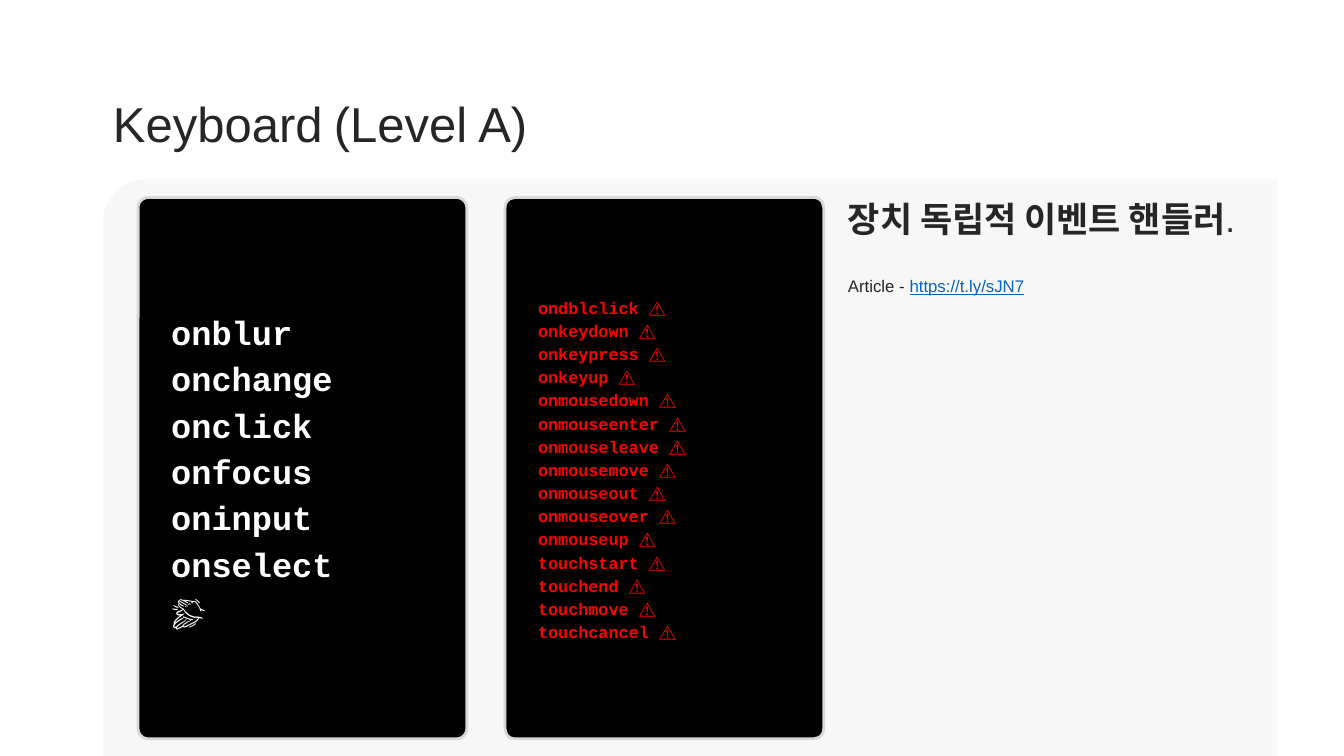
from pptx import Presentation
from pptx import util as u
from pptx.dml import color
from pptx.enum import shapes, text
from pptx.oxml import ns, xmlchemy

INK = "262626"
SAFE = ["onblur", "onchange", "onclick", "onfocus", "oninput", "onselect", "👏"]
RISKY = ["ondblclick", "onkeydown", "onkeypress", "onkeyup", "onmousedown",
         "onmouseenter", "onmouseleave", "onmousemove", "onmouseout",
         "onmouseover", "onmouseup", "touchstart", "touchend", "touchmove",
         "touchcancel"]


def rgb(code):
    """Turn a hex string into a colour."""
    return color.RGBColor.from_string(code)


def place(shape, left, top, width, height):
    """Move and size a shape in inches."""
    shape.left, shape.top = u.Inches(left), u.Inches(top)
    shape.width, shape.height = u.Inches(width), u.Inches(height)


def style(font, size, code, face="Arial", bold=False):
    """Set the look of a font."""
    font.size, font.name, font.bold = u.Pt(size), face, bold
    font.color.rgb = rgb(code)


def indent(para, left):
    """Set a left indent in inches and drop the bullet."""
    props = para._p.get_or_add_pPr()
    props.set("marL", str(u.Inches(left)))
    props.set("indent", "0")
    props.append(xmlchemy.OxmlElement("a:buNone"))


def add_run(para, words, size, code=INK, bold=False):
    """Append a styled run to a paragraph."""
    run = para.add_run()
    run.text = words
    style(run.font, size, code, bold=bold)
    return run


def add_box(slide, kind, box, fill, round_by):
    """Add a filled shape without a shadow."""
    shape = slide.shapes.add_shape(kind, *map(u.Inches, box))
    shape.shadow.inherit = False
    shape.adjustments[0] = round_by
    shape.fill.solid()
    shape.fill.fore_color.rgb = rgb(fill)
    return shape


def add_panel(slide):
    """Add the pale panel behind everything else."""
    panel = add_box(slide, shapes.MSO_SHAPE.ROUND_1_RECTANGLE,
                    (1.02, 1.78, 11.65, 5.72), "F7F7F7", 0.075)
    panel.line.fill.background()
    panel._element.spPr.find(ns.qn("a:xfrm")).set("flipH", "1")
    slide.shapes._spTree.insert(2, panel._element)


def add_card(slide, left, width, names, size, code):
    """Add a black card that lists event handlers."""
    card = add_box(slide, shapes.MSO_SHAPE.ROUNDED_RECTANGLE,
                   (left, 1.96, width, 5.37), "000000", 0.031)
    card.line.color.rgb = rgb("D8D8D8")
    card.line.width = u.Pt(2)
    frame = card.text_frame
    frame.vertical_anchor = text.MSO_ANCHOR.MIDDLE
    frame.text = "\n".join(names)
    for para in frame.paragraphs:
        indent(para, 0.2)
        para.alignment = text.PP_ALIGN.LEFT
        para.line_spacing = 1.15
        for run in para.runs:
            style(run.font, size, code, "Courier New", True)


def fill_title(title):
    """Write the heading."""
    place(title, 1.02, 0.88, 12.31, 0.67)
    frame = title.text_frame
    frame.auto_size = text.MSO_AUTO_SIZE.NONE
    frame.vertical_anchor = text.MSO_ANCHOR.MIDDLE
    para = frame.paragraphs[0]
    para.alignment = text.PP_ALIGN.LEFT
    for words, size in (("Keyboard", 35), (" ", 28), ("(Level A)", 35)):
        add_run(para, words, size)


def fill_body(body):
    """Write the message and the article line."""
    place(body, 8.31, 1.96, 4.36, 1.3)
    frame = body.text_frame
    frame.auto_size = text.MSO_AUTO_SIZE.NONE
    head, note = frame.paragraphs[0], frame.add_paragraph()
    for para, gap in ((head, 0), (note, 27)):
        indent(para, 0)
        para.line_spacing = 0.9
        para.space_before = u.Pt(gap)
    add_run(head, "장치 독립적 이벤트 핸들러", 25, bold=True)
    add_run(head, ".", 25)
    add_run(note, "Article - ", 12)
    add_run(note, "https://t.ly/sJN7", 12, "0563C1").font.underline = True


def main():
    """Build the slide and save it."""
    deck = Presentation()
    deck.slide_width, deck.slide_height = u.Inches(13.33), u.Inches(7.5)
    slide = deck.slides.add_slide(deck.slide_layouts[1])
    add_panel(slide)
    fill_title(slide.shapes.title)
    fill_body(slide.placeholders[1])
    add_card(slide, 1.37, 3.26, SAFE, 24, "FFFFFF")
    add_card(slide, 5.01, 3.16, [f"{name} ⚠️" for name in RISKY], 12, "FF0000")
    deck.save("out.pptx")


if __name__ == "__main__":
    main()
